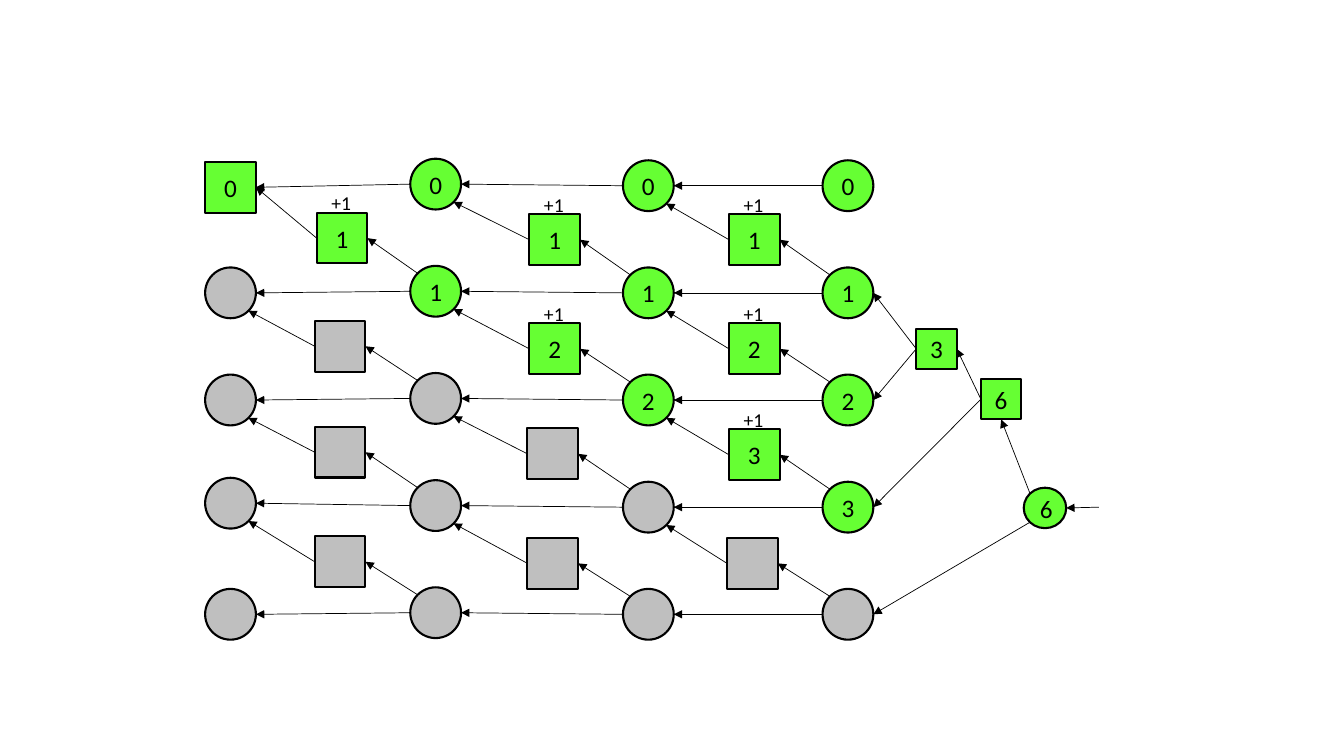
import lxml.etree
import pptx
import pptx.dml.color
import pptx.enum.shapes
import pptx.enum.text
import pptx.oxml.ns
import pptx.util

Cm = pptx.util.Cm

# Content: None marks an inactive (grey) element
NODES = [
    ["0", "0", "0", "0"],
    [None, "1", "1", "1"],
    [None, None, "2", "2"],
    [None, None, None, "3"],
    [None, None, None, None],
]
STEPS = [
    ["1", "1", "1"],
    [None, "2", "2"],
    [None, None, "3"],
    [None, None, None],
]
STEP_NOTE = "+1"
RESULTS = {  # name: (kind, label, left, top, width, height) in cm
    "subtotal": ("rect", "3", 23.09, 8.28, 1.02, 1.02),
    "total": ("rect", "6", 24.72, 9.55, 1.02, 1.02),
    "output": ("oval", "6", 25.8, 12.29, 1.07, 1.02),
}

# Layout in cm
SIZE = 1.28
COLUMNS = [5.17, 10.34, 15.7, 20.73]
COLUMN_SHIFTS = [0, -0.04, 0, 0]
FIRST_ROW, ROW_PITCH = 4.04, 2.7
NODE_SHIFTS = {(0, 0): 0.04, (3, 0): -0.1}
STEP_ROWS = [5.4, 8.15, 10.82, 13.58]
STEP_OFFSET, GREY_SHIFT = 2.36, 0.05

COLORS = {"active": "66FF33", "inactive": "BFBFBF", "ink": "000000"}
NODE_FONT = {"size": pptx.util.Pt(18), "name": "Calibri"}
NOTE_FONT = {"size": pptx.util.Pt(14), "name": "Calibri"}
KINDS = {
    "rect": pptx.enum.shapes.MSO_SHAPE.RECTANGLE,
    "oval": pptx.enum.shapes.MSO_SHAPE.OVAL,
}
# Anchor points as fractions of width and height
NEAR, FAR = 0.15, 0.85
ANCHORS = {
    "left": (0, 0.5), "right": (1, 0.5), "bottom": (0.5, 1),
    "top left": (NEAR, NEAR), "bottom left": (NEAR, FAR), "bottom right": (FAR, FAR),
}
RECT_SITES = {"left": 1, "bottom": 2, "right": 3}

presentation = pptx.Presentation()
presentation.slide_width = Cm(33.87)
presentation.slide_height = Cm(19.05)
slide = presentation.slides.add_slide(presentation.slide_layouts[6])


def color(name):
    return pptx.dml.color.RGBColor.from_string(COLORS[name])


def write(shape, text, font_values, alignment):
    paragraph = shape.text_frame.paragraphs[0]
    paragraph.alignment = alignment
    run = paragraph.add_run()
    run.text = text
    for name, value in font_values.items():
        setattr(run.font, name, value)
    run.font.color.rgb = color("ink")


def add_node(kind, label, left, top, width=SIZE, height=SIZE):
    shape = slide.shapes.add_shape(KINDS[kind], Cm(left), Cm(top), Cm(width), Cm(height))
    shape.shadow.inherit = False
    shape.fill.solid()
    shape.fill.fore_color.rgb = color("active" if label else "inactive")
    shape.line.color.rgb = color("ink")
    shape.line.width = pptx.util.Pt(1.5)
    shape.text_frame.vertical_anchor = pptx.enum.text.MSO_ANCHOR.MIDDLE
    if label:
        write(shape, label, NODE_FONT, pptx.enum.text.PP_ALIGN.CENTER)
    return shape


def add_note(left, top):
    box = slide.shapes.add_textbox(Cm(left), Cm(top), Cm(1.02), Cm(0.86))
    box.text_frame.word_wrap = False
    box.text_frame.auto_size = pptx.enum.text.MSO_AUTO_SIZE.SHAPE_TO_FIT_TEXT
    write(box, STEP_NOTE, NOTE_FONT, pptx.enum.text.PP_ALIGN.LEFT)


def anchor(shape, side):
    across, down = ANCHORS[side]
    return int(shape.left + across * shape.width), int(shape.top + down * shape.height)


def add_arrow(start, end):
    connector = slide.shapes.add_connector(
        pptx.enum.shapes.MSO_CONNECTOR.STRAIGHT, *start, *end)
    connector.line.color.rgb = color("ink")
    connector.line.width = pptx.util.Pt(0.5)
    properties = connector._element.spPr
    lxml.etree.SubElement(
        properties.find(pptx.oxml.ns.qn("a:ln")), pptx.oxml.ns.qn("a:tailEnd"), type="triangle")
    lxml.etree.SubElement(properties, pptx.oxml.ns.qn("a:effectLst"))
    return connector


def link(source, source_side, target, target_side):
    connector = add_arrow(anchor(source, source_side), anchor(target, target_side))
    rectangle = KINDS["rect"]
    if source.auto_shape_type == rectangle:
        connector.begin_connect(source, RECT_SITES[source_side])
    if target.auto_shape_type == rectangle:
        connector.end_connect(target, RECT_SITES[target_side])


# Grid of nodes; the first one is the square origin
nodes = {}
for row, labels in enumerate(NODES):
    for column, label in enumerate(labels):
        place = (row, column)
        top = (FIRST_ROW + ROW_PITCH * row + COLUMN_SHIFTS[column]
               + NODE_SHIFTS.get(place, 0))
        kind = "rect" if place == (0, 0) else "oval"
        nodes[place] = add_node(kind, label, COLUMNS[column], top)
        if column:
            link(nodes[place], "left", nodes[row, column - 1], "right")

# Steps between neighbouring rows and columns
for row, labels in enumerate(STEPS):
    for column, label in enumerate(labels):
        shift = 0 if label else GREY_SHIFT
        left = COLUMNS[column + 1] - STEP_OFFSET - shift
        top = STEP_ROWS[row] + COLUMN_SHIFTS[column + 1] - shift / 2
        step = add_node("rect", label, left, top)
        if label:
            add_note(left + 0.12, top - 0.67)
        side = "right" if (row, column) == (0, 0) else "bottom right"
        link(nodes[row + 1, column + 1], "top left", step, "right")
        link(step, "left", nodes[row, column], side)

# Results on the right
results = {name: add_node(*values) for name, values in RESULTS.items()}
subtotal, total, output = results.values()
for source, source_side, target, target_side in [
    (subtotal, "left", nodes[1, 3], "right"),
    (subtotal, "left", nodes[2, 3], "right"),
    (total, "left", subtotal, "right"),
    (total, "left", nodes[3, 3], "right"),
    (output, "top left", total, "bottom"),
    (output, "bottom left", nodes[4, 3], "right"),
]:
    link(source, source_side, target, target_side)
add_arrow((Cm(27.69), Cm(12.78)), anchor(output, "right"))

presentation.save("out.pptx")
